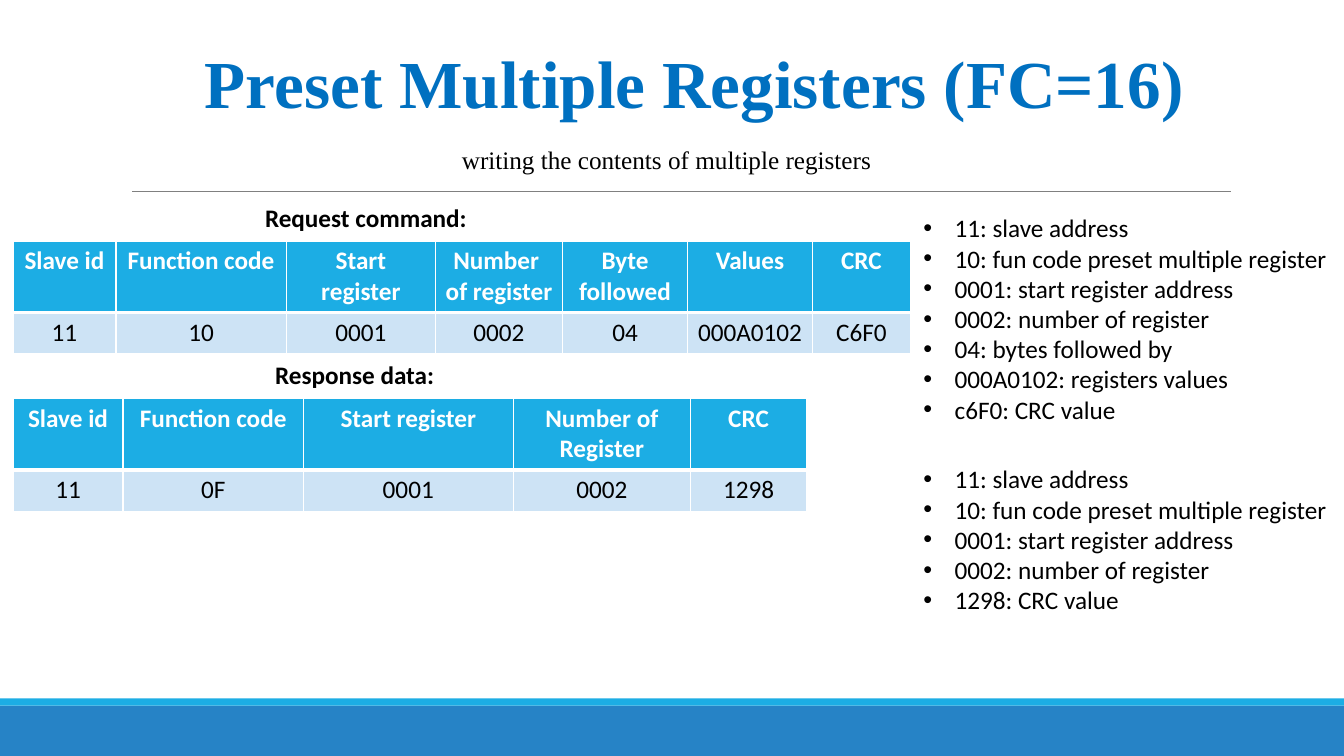
import dataclasses
import typing

import lxml.etree
import pptx
import pptx.dml.color
import pptx.enum.shapes
import pptx.enum.text
import pptx.oxml.ns
import pptx.util

Inches = pptx.util.Inches
Align = pptx.enum.text.PP_ALIGN
qn = pptx.oxml.ns.qn

SERIF = "Times New Roman"
BLACK, WHITE = "000000", "FFFFFF"
SKY, BLUE, PALE = "1CADE4", "2683C6", "CDE3F5"


@dataclasses.dataclass
class Band:
    top: float
    height: float
    color: str


@dataclasses.dataclass
class Label:
    box: tuple[float, float, float, float]
    text: str
    wrap: bool = False
    style: dict[str, typing.Any] = dataclasses.field(default_factory=dict)


@dataclasses.dataclass
class Grid:
    top: float
    widths: list[float]
    rows: list[list[str]]


BANDS = [Band(7, 0.5, BLUE), Band(6.93, 0.07, SKY)]

LABELS = [
    Label((4.42, 1.38, 4.43, 0.4),
          "\u00a0writing the contents of multiple registers\u00a0",
          style={"font": SERIF}),
    Label((2.53, 1.96, 2.22, 0.4), "Request command:", style={"bold": True}),
    Label((2.63, 3.52, 1.79, 0.4), "Response data:", wrap=True,
          style={"bold": True}),
    Label((9.06, 2.06, 4.25, 2.22),
          "11: slave address\n"
          "10: fun code preset multiple register\n"
          "0001: start register address\n"
          "0002: number of register\n"
          "04: bytes followed by\n"
          "000A0102: registers values\n"
          "c6F0: CRC value",
          style={"bullet": True}),
    Label((9.06, 4.55, 4.25, 1.62),
          "11: slave address\n"
          "10: fun code preset multiple register\n"
          "0001: start register address\n"
          "0002: number of register\n"
          "1298: CRC value",
          style={"bullet": True}),
]

GRIDS = [
    Grid(2.39, [1.02, 1.69, 1.48, 1.26, 1.24, 1.24, 0.97], [
        ["Slave id", "Function code", "Start register", "Number \nof register",
         "Byte followed", "Values", "CRC"],
        ["11", "10", "0001", "0002", "04", "000A0102", "C6F0"],
    ]),
    Grid(3.95, [1.09, 1.79, 2.08, 1.76, 1.15], [
        ["Slave id", "Function code", "Start register", "Number of Register", "CRC"],
        ["11", "0F", "0001", "0002", "1298"],
    ]),
]
HEIGHTS = [0.7, 0.41]


def rgb(color: str) -> pptx.dml.color.RGBColor:
    return pptx.dml.color.RGBColor.from_string(color)


def write(frame, text: str, *, size: float = 18, font: str = "Calibri",
          color: str = BLACK, bold: bool = False, align=Align.LEFT,
          bullet: bool = False) -> None:
    """Fill a text frame, one paragraph for each line of text."""
    frame.text = text
    for para in frame.paragraphs:
        para.alignment = align
        for run in para.runs:
            run.font.size = pptx.util.Pt(size)
            run.font.name = font
            run.font.bold = bold
            run.font.color.rgb = rgb(color)
        if bullet:
            props = para._p.get_or_add_pPr()
            props.set("marL", str(Inches(0.31)))
            props.set("indent", str(-Inches(0.31)))
            lxml.etree.SubElement(props, qn("a:buFont")).set("typeface", "Arial")
            lxml.etree.SubElement(props, qn("a:buChar")).set("char", "•")


def place(shape, box: tuple[float, float, float, float]) -> None:
    shape.left, shape.top, shape.width, shape.height = map(Inches, box)


def add_band(slide, band: Band) -> None:
    shape = slide.shapes.add_shape(
        pptx.enum.shapes.MSO_SHAPE.RECTANGLE,
        0, Inches(band.top), Inches(13.33), Inches(band.height))
    shape.shadow.inherit = False
    shape.fill.solid()
    shape.fill.fore_color.rgb = rgb(band.color)
    shape.line.fill.background()


def add_rule(slide) -> None:
    rule = slide.shapes.add_connector(
        pptx.enum.shapes.MSO_CONNECTOR.STRAIGHT,
        Inches(1.31), Inches(1.9), Inches(12.21), Inches(1.9))
    rule.line.color.rgb = rgb("808080")
    rule.line.width = pptx.util.Pt(0.5)
    lxml.etree.SubElement(rule._element.spPr, qn("a:effectLst"))


def add_label(slide, label: Label) -> None:
    shape = slide.shapes.add_textbox(*map(Inches, label.box))
    shape.text_frame.word_wrap = label.wrap
    write(shape.text_frame, label.text, **label.style)


def edge(cell, **widths: float) -> None:
    """Draw white cell borders, with widths in points by side."""
    props = cell._tc.get_or_add_tcPr()
    for spot, (side, width) in enumerate(widths.items()):
        line = lxml.etree.Element(qn(f"a:ln{side}"), w=str(pptx.util.Pt(width)))
        fill = lxml.etree.SubElement(line, qn("a:solidFill"))
        lxml.etree.SubElement(fill, qn("a:srgbClr")).set("val", WHITE)
        props.insert(spot, line)


def add_grid(slide, grid: Grid) -> None:
    frame = slide.shapes.add_table(
        len(grid.rows), len(grid.widths), Inches(0.13), Inches(grid.top),
        Inches(sum(grid.widths)), Inches(sum(HEIGHTS)))
    table = frame.table
    for column, width in zip(table.columns, grid.widths):
        column.width = Inches(width)
    for i, texts in enumerate(grid.rows):
        head = i == 0
        table.rows[i].height = Inches(HEIGHTS[i])
        for j, text in enumerate(texts):
            cell = table.cell(i, j)
            write(cell.text_frame, text, color=WHITE if head else BLACK,
                  bold=head, align=Align.CENTER)
            cell.fill.solid()
            cell.fill.fore_color.rgb = rgb(SKY if head else PALE)
            edge(cell, L=1, R=1, T=1 if head else 3, B=3 if head else 1)


def main() -> None:
    deck = pptx.Presentation()
    deck.slide_width, deck.slide_height = Inches(13.33), Inches(7.5)
    slide = deck.slides.add_slide(deck.slide_layouts.get_by_name("Title Only"))
    for band in BANDS:
        add_band(slide, band)
    add_rule(slide)
    title = slide.shapes.title
    place(title, (1.6, 0.36, 10.58, 0.91))
    write(title.text_frame, "Preset Multiple Registers (FC=16)", size=48,
          font=SERIF, color="0070C0", bold=True, align=Align.CENTER)
    for grid in GRIDS:
        add_grid(slide, grid)
    for label in LABELS:
        add_label(slide, label)
    deck.save("out.pptx")


if __name__ == "__main__":
    main()
